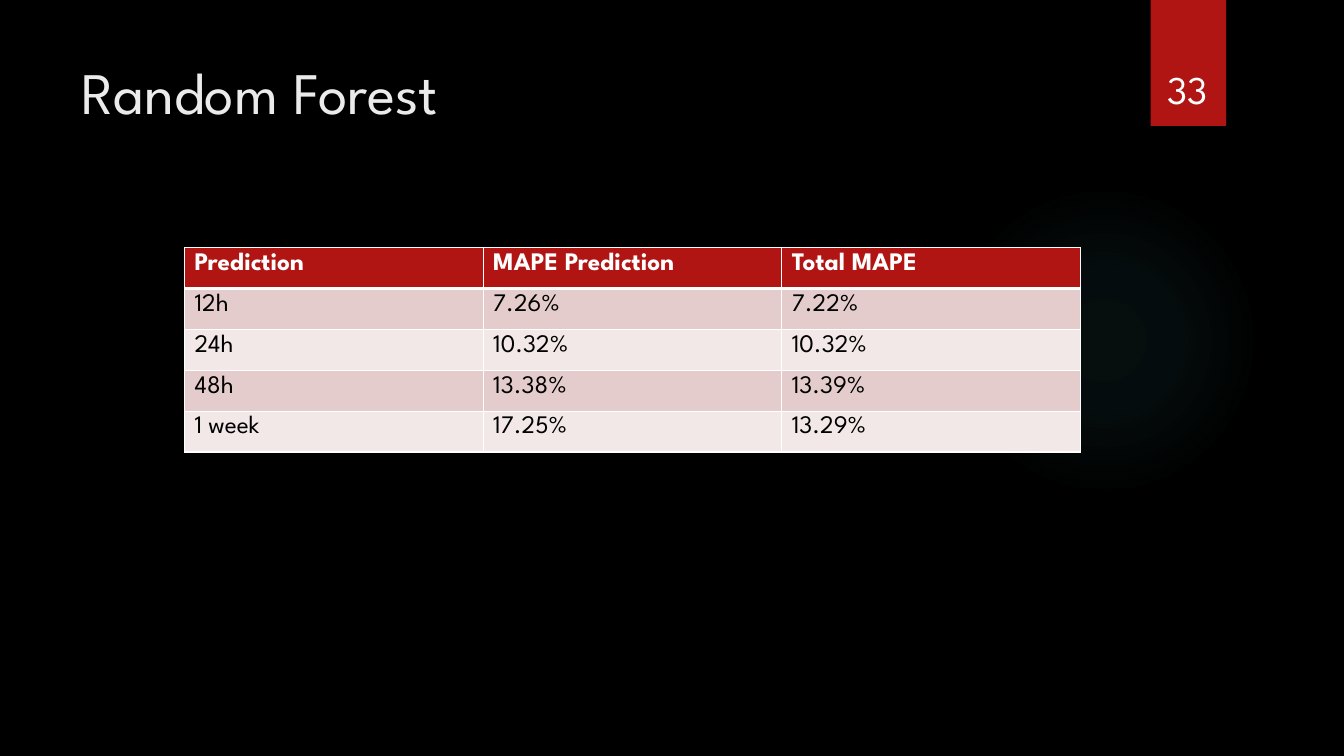
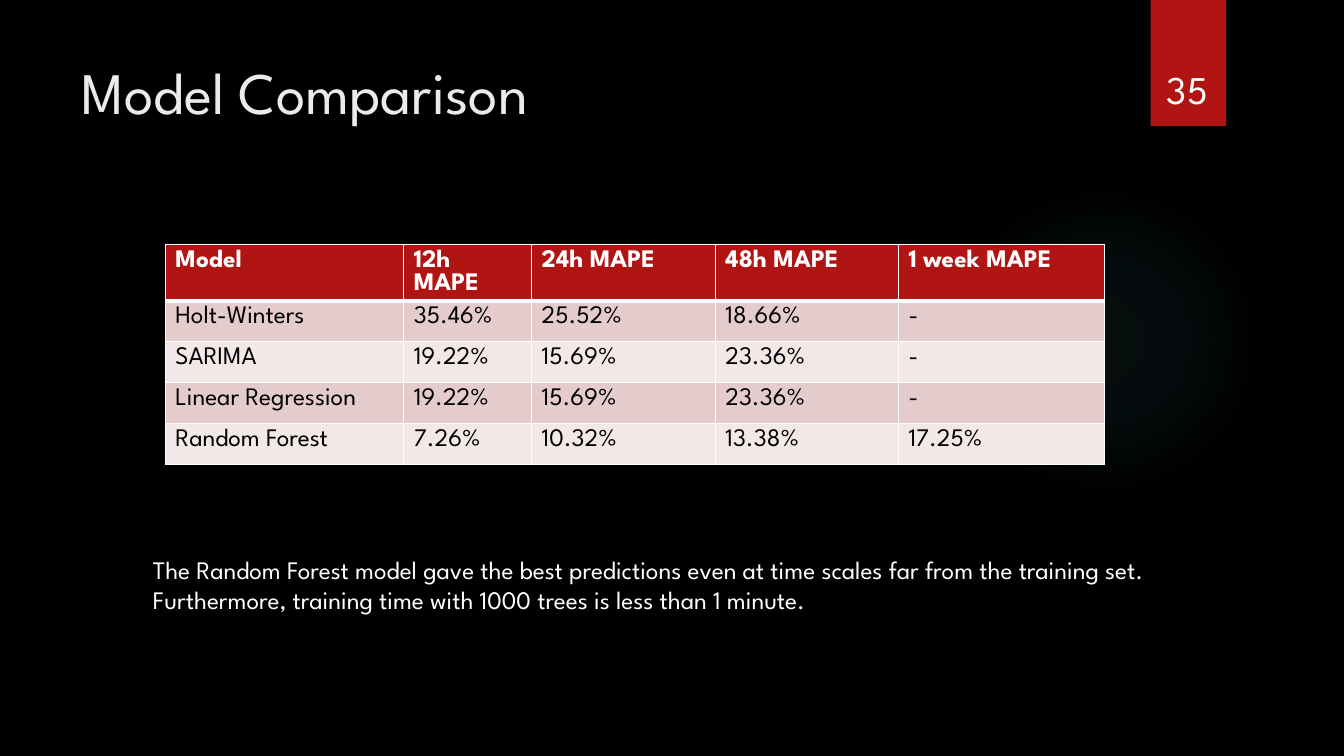
"""Build two dark slides of model error tables."""
from dataclasses import dataclass

import lxml.etree
import pptx
import pptx.dml.color
import pptx.enum.shapes
import pptx.enum.text
import pptx.oxml.ns
import pptx.util

Pt = pptx.util.Pt
ANCHOR = pptx.enum.text.MSO_ANCHOR
ALIGN = pptx.enum.text.PP_ALIGN
SHAPE = pptx.enum.shapes.MSO_SHAPE

FONT = "League Spartan"
BLACK, WHITE, TITLE, RED, TEAL = "000000", "FFFFFF", "EBEBEB", "B01513", "50B9C1"
BANDS = ("E4CCCC", "F2E8E7")
ROW_HEIGHT = 29.2
GLOW_STOPS = ((0, 7), (36, 6), (69, 0))


@dataclass(frozen=True)
class Box:
    left: float
    top: float
    width: float
    height: float

    def lengths(self) -> tuple:
        return tuple(Pt(v) for v in (self.left, self.top, self.width, self.height))


@dataclass(frozen=True)
class TextStyle:
    size: float
    color: str
    bold: bool = False
    spacing: float = 1.0
    align: ALIGN = ALIGN.LEFT
    anchor: ANCHOR = ANCHOR.TOP


@dataclass(frozen=True)
class ErrorTable:
    left: float
    top: float
    widths: tuple
    rows: tuple


@dataclass(frozen=True)
class Page:
    title: str
    number: str
    table: ErrorTable
    note: str = ""


TITLE_BOX = Box(51.1, 36, 740.9, 110.2)
NUMBER_BOX = Box(815, 23, 66.2, 60.5)
NOTE_BOX = Box(102.2, 392.4, 745.9, 51.1)
RIBBON_BOX = Box(822, 0, 53.8, 90)
GLOW_BOX = Box(677.5, 131.8, 221.8, 221.8)

TITLE_STYLE = TextStyle(42, TITLE)
NUMBER_STYLE = TextStyle(28, WHITE, align=ALIGN.CENTER, anchor=ANCHOR.BOTTOM)
NOTE_STYLE = TextStyle(18, WHITE)
HEADER_STYLE = TextStyle(18, WHITE, bold=True, spacing=Pt(16.5))
CELL_STYLE = TextStyle(18, BLACK)

PAGES = (
    Page("Random Forest", "33", ErrorTable(131.8, 176.9, (213.3,) * 3, (
        ("Prediction", "MAPE Prediction", "Total MAPE"),
        ("12h", "7.26%", "7.22%"),
        ("24h", "10.32%", "10.32%"),
        ("48h", "13.38%", "13.39%"),
        ("1 week", "17.25%", "13.29%"),
    ))),
    Page("Model Comparison", "35", ErrorTable(118.1, 174.7, (170.3, 91.4, 131.2, 130.8, 147.2), (
        ("Model", "12h MAPE", "24h MAPE", "48h MAPE", "1 week MAPE"),
        ("Holt-Winters", "35.46%", "25.52%", "18.66%", "-"),
        ("SARIMA", "19.22%", "15.69%", "23.36%", "-"),
        ("Linear Regression", "19.22%", "15.69%", "23.36%", "-"),
        ("Random Forest", "7.26%", "10.32%", "13.38%", "17.25%"),
    )), "The Random Forest model gave the best predictions even at time scales far from "
        "the training set. Furthermore, training time with 1000 trees is less than 1 minute."),
)


def rgb(color: str) -> pptx.dml.color.RGBColor:
    return pptx.dml.color.RGBColor.from_string(color)


def paint(fill, color: str) -> None:
    fill.solid()
    fill.fore_color.rgb = rgb(color)


def add_element(parent, tag: str, **attributes):
    child = lxml.etree.SubElement(parent, pptx.oxml.ns.qn(tag))
    for name, value in attributes.items():
        child.set(name, str(value))
    return child


def write(tf, text: str, style: TextStyle) -> None:
    p = tf.paragraphs[0]
    p.alignment = style.align
    p.line_spacing = style.spacing
    r = p.add_run()
    r.text = text
    formats = {"name": FONT, "size": Pt(style.size), "bold": style.bold}
    for name, value in formats.items():
        setattr(r.font, name, value)
    r.font.color.rgb = rgb(style.color)


def add_text(s, box: Box, text: str, style: TextStyle) -> None:
    tf = s.shapes.add_textbox(*box.lengths()).text_frame
    tf.word_wrap = True
    tf.vertical_anchor = style.anchor
    write(tf, text, style)


def add_plain_shape(s, kind: SHAPE, box: Box, color: str):
    sp = s.shapes.add_shape(kind, *box.lengths())
    sp.shadow.inherit = False
    paint(sp.fill, color)
    sp.line.fill.background()
    return sp


def add_glow(s) -> None:
    sp = add_plain_shape(s, SHAPE.OVAL, GLOW_BOX, TEAL)
    solid = sp.fill._xPr.find(pptx.oxml.ns.qn("a:solidFill"))
    grad = lxml.etree.Element(pptx.oxml.ns.qn("a:gradFill"))
    stops = add_element(grad, "a:gsLst")
    for position, alpha in GLOW_STOPS:
        stop = add_element(stops, "a:gs", pos=position * 1000)
        color = add_element(stop, "a:srgbClr", val=TEAL)
        add_element(color, "a:alpha", val=alpha * 1000)
    circle = add_element(grad, "a:path", path="circle")
    add_element(circle, "a:fillToRect", l=50000, t=50000, r=50000, b=50000)
    solid.getparent().replace(solid, grad)


def add_borders(cell, top: float, bottom: float) -> None:
    tc_pr = cell._tc.get_or_add_tcPr()
    for side, width in {"L": 1, "R": 1, "T": top, "B": bottom}.items():
        line = add_element(tc_pr, f"a:ln{side}", w=Pt(width))
        add_element(add_element(line, "a:solidFill"), "a:srgbClr", val=WHITE)


def add_error_table(s, spec: ErrorTable) -> None:
    count = len(spec.rows)
    box = Box(spec.left, spec.top, sum(spec.widths), ROW_HEIGHT * count)
    table = s.shapes.add_table(count, len(spec.widths), *box.lengths()).table
    table.horz_banding = False
    for column, width in zip(table.columns, spec.widths):
        column.width = Pt(width)
    for i, values in enumerate(spec.rows):
        table.rows[i].height = Pt(ROW_HEIGHT)
        header = i == 0
        for j, text in enumerate(values):
            cell = table.cell(i, j)
            add_borders(cell, 3 if i == 1 else 1, 3 if header else 1)
            paint(cell.fill, RED if header else BANDS[(i - 1) % 2])
            write(cell.text_frame, text, HEADER_STYLE if header else CELL_STYLE)


def add_page(prs, page: Page) -> None:
    s = prs.slides.add_slide(prs.slide_layouts[6])
    paint(s.background.fill, BLACK)
    add_glow(s)
    add_plain_shape(s, SHAPE.RECTANGLE, RIBBON_BOX, RED)
    add_text(s, TITLE_BOX, page.title, TITLE_STYLE)
    add_text(s, NUMBER_BOX, page.number, NUMBER_STYLE)
    add_error_table(s, page.table)
    if page.note:
        add_text(s, NOTE_BOX, page.note, NOTE_STYLE)


def main() -> None:
    prs = pptx.Presentation()
    prs.slide_width, prs.slide_height = Pt(960), Pt(540)
    for page in PAGES:
        add_page(prs, page)
    prs.save("out.pptx")


if __name__ == "__main__":
    main()
